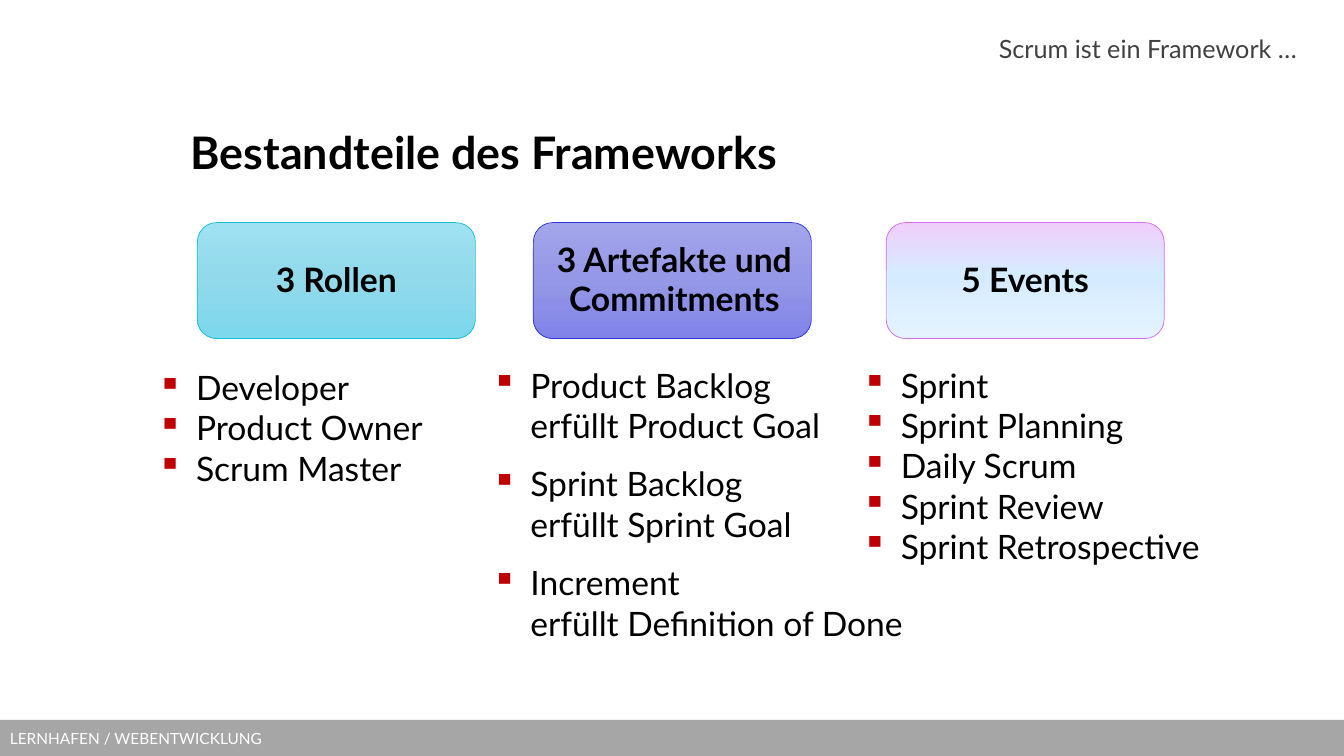
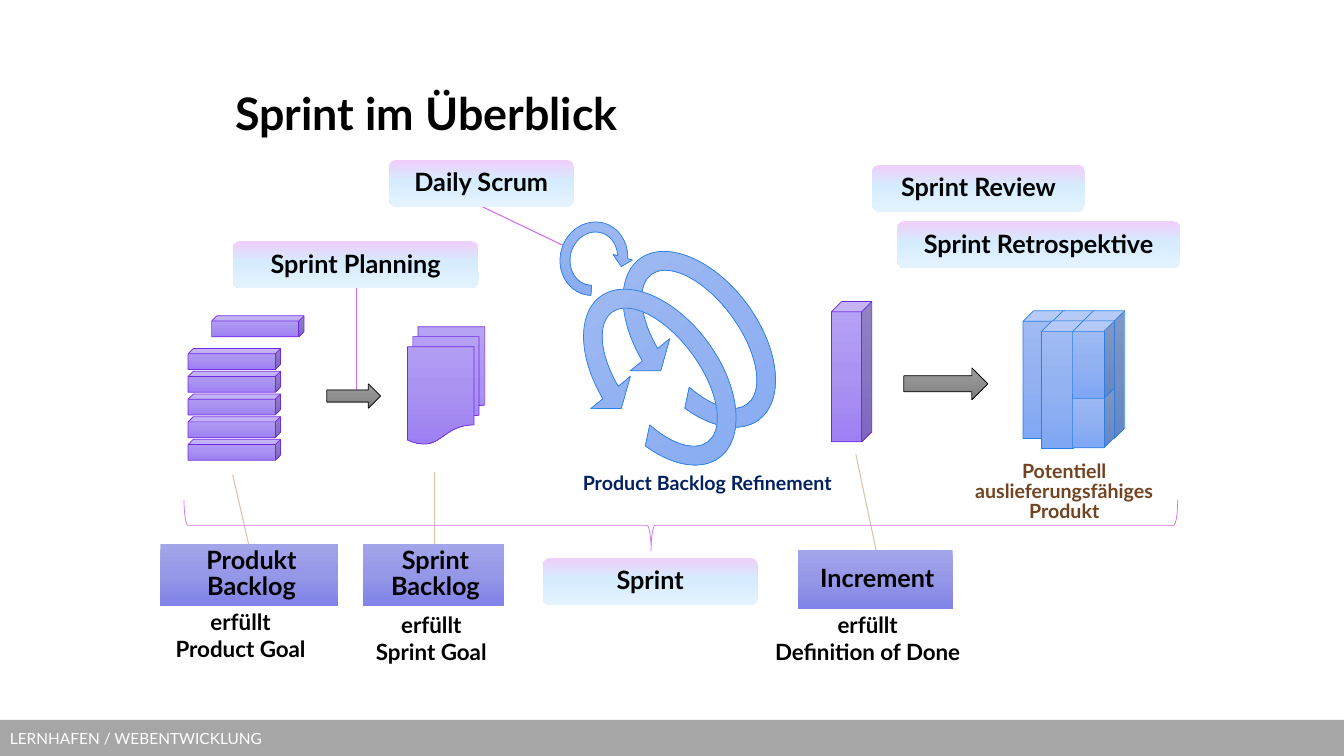
from copy import deepcopy
from dataclasses import dataclass

from lxml.etree import SubElement
from pptx import Presentation
from pptx.dml.color import RGBColor
from pptx.enum.shapes import MSO_CONNECTOR, MSO_SHAPE
from pptx.enum.text import MSO_ANCHOR, MSO_AUTO_SIZE, PP_ALIGN
from pptx.oxml.ns import qn
from pptx.util import Inches, Pt


@dataclass(frozen=True)
class Theme:
    font: str = "Lato"
    title_size: int = 32
    body_size: int = 24
    label_size: int = 18
    caption_size: int = 16
    note_size: int = 14
    footer_size: int = 11

    black: str = "000000"
    white: str = "FFFFFF"
    header: str = "404040"
    footer: str = "A6A6A6"
    bullet: str = "C00000"
    navy: str = "002060"
    brown: str = "724320"
    pointer: str = "E1C0A8"

    role_line: str = "17BDD5"
    artifact_line: str = "2E35D9"
    event_line: str = "D36BEF"
    backlog_line: str = "7029E7"
    product_line: str = "2980E7"

    # Gradients run from top to bottom: (position, colour)
    role: tuple = ((0, "9EE1F2"), (0.5, "91D9EB"), (1, "7CD8ED"))
    artifact: tuple = ((0, "A3A5EB"), (0.5, "9597E7"), (1, "8183E8"))
    event: tuple = ((0, "F0CEFA"), (0.45, "D5ECFF"), (1, "E5F3FF"))
    backlog: tuple = ((0, "B7A3F4"), (0.5, "AB94F1"), (1, "9D80F3"))
    product: tuple = ((0, "A3BDF4"), (0.5, "94B2F1"), (1, "80A7F3"))
    arrow: tuple = ((0, "9D9D9D"), (0.5, "909090"), (1, "7C7C7C"))


theme = Theme()
COLUMNS, ROWS = 160, 90
CELL = Inches(7.5) / ROWS
ARTIFACT_INSETS = (0.04, 0, 0, 0)


def draw(slide, kind, box, fill=None, line=None, adjustments=(), rotation=0, flip=False):
    """Add a shape, or a text box if kind is None; box is left, top, width, height in cells."""
    lengths = [round(value * CELL) for value in box]
    if kind is None:
        return slide.shapes.add_textbox(*lengths)
    shape = slide.shapes.add_shape(kind, *lengths)
    shape.shadow.inherit = False
    shape.rotation = rotation
    if flip:
        shape._element.spPr.xfrm.set("flipV", "1")
    for index, value in enumerate(adjustments):
        shape.adjustments[index] = value
    if fill is None:
        shape.fill.background()
    elif isinstance(fill, str):
        shape.fill.solid()
        shape.fill.fore_color.rgb = RGBColor.from_string(fill)
    else:
        shape.fill.gradient()
        shape.fill.gradient_angle = 270
        stop_list = shape._element.spPr.find(".//" + qn("a:gsLst"))
        stop_list.append(deepcopy(stop_list[0]))
        for stop, (position, color) in zip(shape.fill.gradient_stops, fill):
            stop.position = position
            stop.color.rgb = RGBColor.from_string(color)
    if line is None:
        shape.line.fill.background()
    else:
        shape.line.color.rgb = RGBColor.from_string(line)
        shape.line.width = Pt(0.5)
    return shape


def write(shape, *texts, size=theme.label_size, color=theme.black, bold=True,
          align=PP_ALIGN.CENTER, anchor=MSO_ANCHOR.MIDDLE, spacing=1.0, gap=0,
          insets=(0.1, 0.05, 0.1, 0.05), bullet=None):
    """Write one paragraph per text; gap is the space between paragraphs in points."""
    frame = shape.text_frame
    frame.word_wrap = True
    frame.auto_size = MSO_AUTO_SIZE.NONE
    frame.vertical_anchor = anchor
    (frame.margin_left, frame.margin_top,
     frame.margin_right, frame.margin_bottom) = map(Inches, insets)
    for index, text in enumerate(texts):
        paragraph = frame.add_paragraph() if index else frame.paragraphs[0]
        paragraph.text = text
        if bullet:
            properties = paragraph._p.get_or_add_pPr()
            properties.set("marL", str(Inches(0.38)))
            properties.set("indent", str(-Inches(0.38)))
            bullet_color = SubElement(properties, qn("a:buClr"))
            SubElement(bullet_color, qn("a:srgbClr")).set("val", bullet)
            SubElement(properties, qn("a:buChar")).set("char", "▪")
        paragraph.alignment = align
        paragraph.line_spacing = spacing
        paragraph.space_before = Pt(gap if index else 0)
        for run in paragraph.runs:
            run.font.name = theme.font
            run.font.size = Pt(size)
            run.font.bold = bold
            run.font.color.rgb = RGBColor.from_string(color)


presentation = Presentation()
presentation.slide_width = round(COLUMNS * CELL)
presentation.slide_height = round(ROWS * CELL)
title_layout = presentation.slide_layouts[5]

slides = []
for title_text, box in (
    ("Bestandteile des Frameworks", (21.5, 9, 117, 18)),
    ("Sprint im Überblick", (26.8, 4.4, 95, 18)),
):
    slide = presentation.slides.add_slide(title_layout)
    title = slide.shapes.title
    title.left, title.top, title.width, title.height = (round(value * CELL) for value in box)
    write(title, title_text, size=theme.title_size, align=PP_ALIGN.LEFT)
    slides.append(slide)
framework, overview = slides

# The footer band belongs to the layout, so both slides inherit it
footer = draw(framework, MSO_SHAPE.RECTANGLE, (0, 85.7, COLUMNS, 4.3), theme.footer)
write(footer, "LERNHAFEN / WEBENTWICKLUNG", size=theme.footer_size, color=theme.white,
      bold=False, align=PP_ALIGN.LEFT)
title_layout.shapes._spTree.append(footer._element)

# Slide 1: three parts of the framework
header = draw(framework, None, (54.4, 0, 100, 7.6))
write(header, "Scrum ist ein Framework …", size=theme.label_size, color=theme.header,
      bold=False, align=PP_ALIGN.RIGHT, anchor=MSO_ANCHOR.BOTTOM, spacing=1.2,
      insets=(0, 0, 0, 0))

for left, heading, fill, line, insets in (
    (23.5, "3 Rollen", theme.role, theme.role_line, (0.1, 0.05, 0.1, 0.05)),
    (63.5, "3 Artefakte und Commitments", theme.artifact, theme.artifact_line, ARTIFACT_INSETS),
    (105.5, "5 Events", theme.event, theme.event_line, (0.1, 0.05, 0.1, 0.05)),
):
    card = draw(framework, MSO_SHAPE.ROUNDED_RECTANGLE, (left, 26.5, 33.1, 13.8), fill, line)
    write(card, heading, size=theme.body_size, spacing=0.95, insets=insets)

for box, gap, items in (
    ((17.6, 43.1, 41.5, 15.7), 0, ("Developer", "Product Owner", "Scrum Master")),
    ((57.4, 42.8, 52.4, 34.7), 13, ("Product Backlog\nerfüllt Product Goal",
                                    "Sprint Backlog\nerfüllt Sprint Goal",
                                    "Increment\nerfüllt Definition of Done")),
    ((101.5, 42.8, 43.4, 25.4), 0, ("Sprint", "Sprint Planning", "Daily Scrum",
                                    "Sprint Review", "Sprint Retrospective")),
):
    write(draw(framework, None, box), *items, size=theme.body_size, bold=False,
          align=PP_ALIGN.LEFT, anchor=MSO_ANCHOR.TOP, gap=gap, bullet=theme.bullet)

# Slide 2: connecting lines lie below everything else
for color, *ends in (
    (theme.event_line, 57.4, 24.6, 67, 29.2),
    (theme.event_line, 42.4, 34.3, 42.4, 46.9),
    (theme.pointer, 27.7, 56.5, 29.6, 64.8),
    (theme.pointer, 51.7, 56.2, 51.7, 64.8),
    (theme.pointer, 101.9, 54.1, 104.3, 65.5),
):
    connector = overview.shapes.add_connector(
        MSO_CONNECTOR.STRAIGHT, *(round(value * CELL) for value in ends))
    connector.line.color.rgb = RGBColor.from_string(color)
    connector.line.width = Pt(0.75)
    SubElement(connector._element.spPr, qn("a:effectLst"))

draw(overview, MSO_SHAPE.RIGHT_BRACE, (78, 3.4, 6.1, 118.3), line=theme.event_line,
     adjustments=(0.08, 0.53), rotation=90)

for text, left, top, width in (
    ("Daily Scrum", 46.3, 19, 22),
    ("Sprint Planning", 27.7, 28.7, 29.3),
    ("Sprint Review", 103.8, 19.6, 25.4),
    ("Sprint Retrospektive", 106.8, 26.3, 33.7),
    ("Sprint", 64.6, 66.4, 25.6),
):
    event = draw(overview, MSO_SHAPE.ROUNDED_RECTANGLE, (left, top, width, 5.6), theme.event)
    write(event, text, spacing=0.95)

for text, box, goal, goal_box in (
    ("Produkt\nBacklog", (19.1, 64.8, 21.2, 7.3), "Product Goal", (16.3, 72.5, 24.7, 6.1)),
    ("Sprint\nBacklog", (43.2, 64.8, 16.8, 7.3), "Sprint Goal", (42, 72.5, 18.7, 7)),
    ("Increment", (95, 65.5, 18.4, 7), "Definition of Done", (89.5, 72.6, 27.6, 6.7)),
):
    artifact = draw(overview, MSO_SHAPE.RECTANGLE, box, theme.artifact)
    write(artifact, text, spacing=0.85, insets=ARTIFACT_INSETS)
    write(draw(overview, None, goal_box), "erfüllt", goal, size=theme.caption_size)

for text, color, box in (
    ("Product Backlog Refinement", theme.navy, (65.4, 55.8, 37.6, 3.8)),
    ("Potentiell|auslieferungsfähiges|Produkt", theme.brown, (114.2, 54.4, 25, 8.4)),
):
    write(draw(overview, None, box), *text.split("|"), size=theme.note_size, color=color,
          spacing=0.85)

# Backlog items are stacked from the bottom up, the next one hovers above
backlog_items = [(22.4, 52.3 - 2.7 * index, 11, 2.5) for index in range(5)]
increment = (99, 35.9, 4.8, 16.7)
for box in (*backlog_items, (25.2, 37.6, 11, 2.5), increment):
    draw(overview, MSO_SHAPE.CUBE, box, theme.backlog, theme.backlog_line)
draw(overview, MSO_SHAPE.FLOWCHART_MULTIDOCUMENT, (48.5, 38.9, 9.2, 14),
     theme.backlog, theme.backlog_line)

for left, top, height in (
    (121.8, 37, 15.2), (125.3, 37, 15.2), (124, 38.2, 15.2),
    (128.9, 37, 15.2), (127.7, 45.7, 7.6), (127.7, 38.2, 9.2),
):
    draw(overview, MSO_SHAPE.CUBE, (left, top, 5, height), theme.product, theme.product_line)

sprint_loop = (0.13, 13.06, 204.58, 25.03, 0.17)
daily_loop = (0.13, 11.42, 204.58, 47.12, 0.13)
for box, adjustments, rotation, flip in (
    ((74.3, 26.6, 17.9, 27.6), sprint_loop, 143.6, True),
    ((69.6, 31.1, 17.9, 27.6), sprint_loop, 143.6, True),
    ((66.1, 25.8, 9.2, 10), daily_loop, 16.1, False),
):
    draw(overview, MSO_SHAPE.CIRCULAR_ARROW, box, theme.product, theme.product_line,
         adjustments, rotation, flip)

for box in ((38.9, 45.7, 6.4, 2.9), (107.6, 43.8, 10, 3.8)):
    draw(overview, MSO_SHAPE.RIGHT_ARROW, box, theme.arrow, theme.black)

presentation.save("out.pptx")
